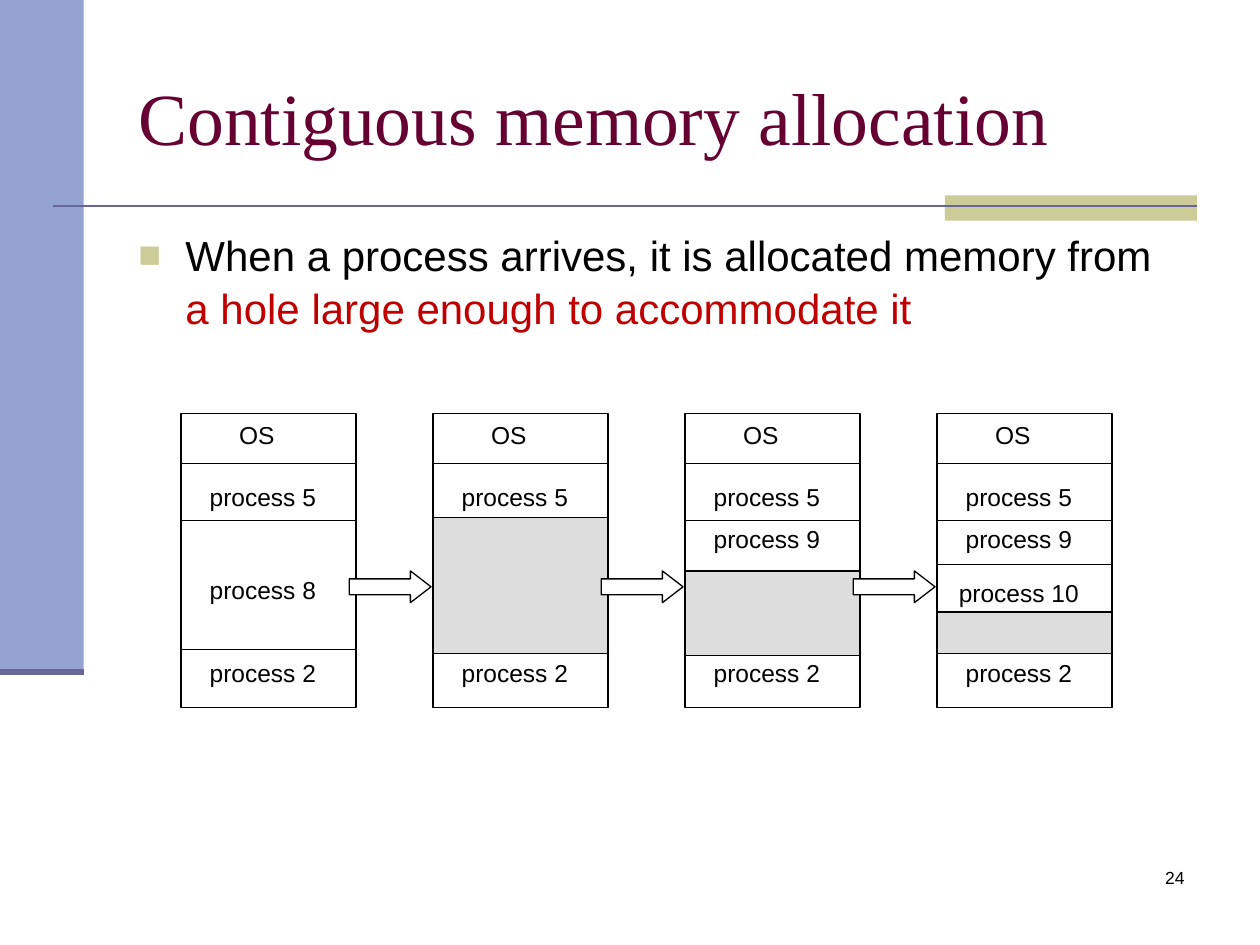
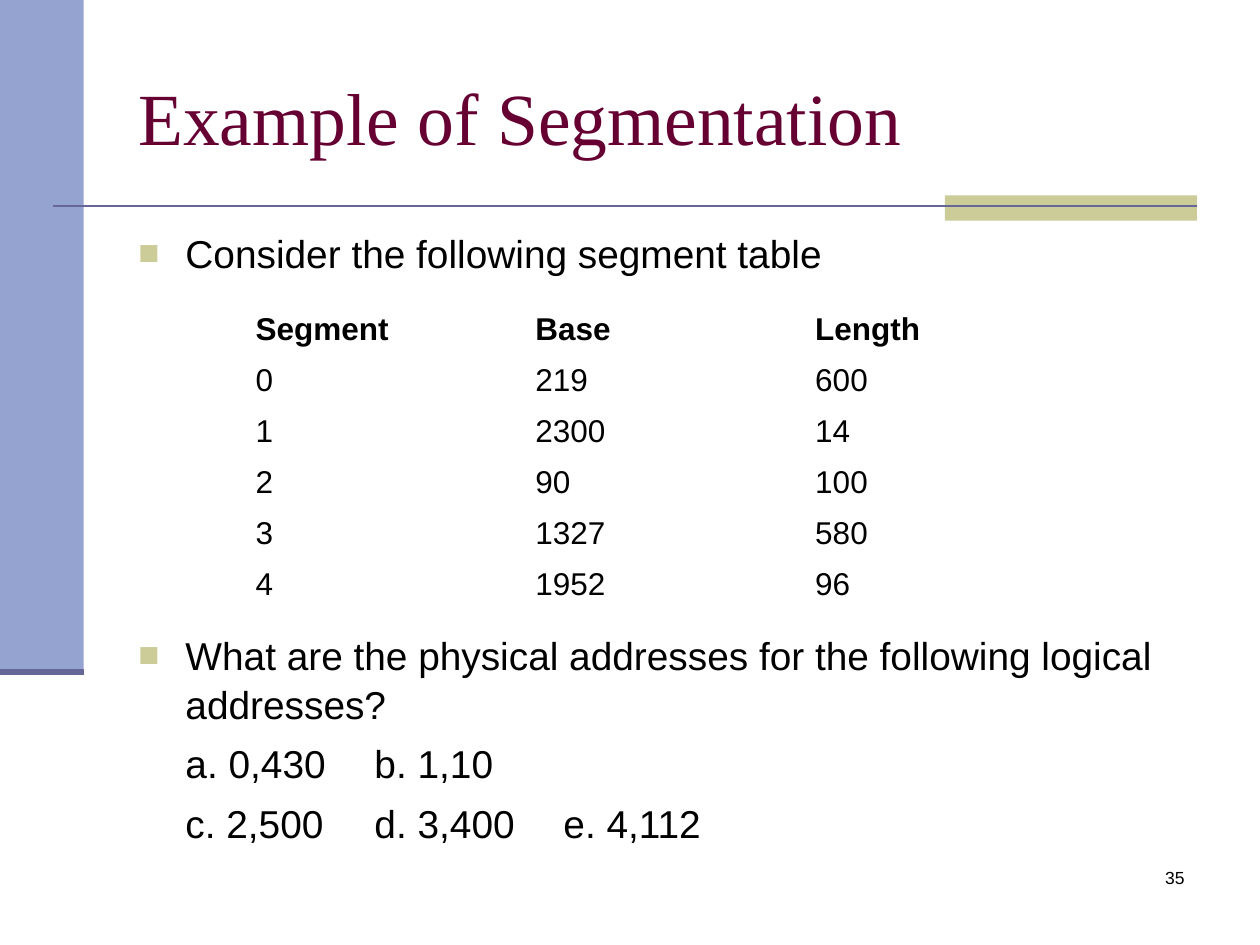
from lxml.etree import SubElement
from pptx import Presentation
from pptx.dml.color import RGBColor
from pptx.enum.shapes import MSO_CONNECTOR, MSO_SHAPE
from pptx.enum.text import MSO_ANCHOR, PP_ALIGN
from pptx.oxml.ns import qn
from pptx.util import Cm, Pt

# Shared look
BLACK, WHITE = "000000", "FFFFFF"
BAND, RULE, ACCENT = "95A3D1", "666699", "CCCC99"
TITLE, EMPHASIS, HOLE = "660033", "C00000", "DDDDDD"
SANS, SERIF = "Arial", "Times New Roman"
INDENT = 0.95

# Memory diagram, in cm
COLUMN_LEFT, COLUMN_STEP, COLUMN_WIDTH = 3.65, 5.08, 3.53
COLUMN_TOP, COLUMN_HEIGHT = 8.33, 5.93
DIVIDERS = [9.34, 10.49, 13.09]
SHARED_LABELS = [("process 5", 9.58), ("process 2", 13.13)]
# One stage per column: own labels, extra dividers, hole (top, height)
STAGES = [
    ([("process 8", 11.46)], [], None),
    ([], [], (10.44, 2.74)),
    ([("process 9", 10.44)], [], (11.51, 1.7)),
    ([("process 9", 10.44), ("process 10", 11.51)], [11.38], (12.34, 0.84)),
]

SEGMENTS = [
    ("Segment", "Base", "Length"),
    ("0", "219", "600"),
    ("1", "2300", "14"),
    ("2", "90", "100"),
    ("3", "1327", "580"),
    ("4", "1952", "96"),
]


def rgb(color):
    return RGBColor.from_string(color)


def lengths(*values):
    return [Cm(value) for value in values]


def write(paragraph, text, size=14, color=BLACK, font=SANS, bold=False, align=None):
    run = paragraph.add_run()
    run.text = text
    run.font.size = Pt(size)
    run.font.name = font
    run.font.bold = bold
    run.font.color.rgb = rgb(color)
    if align is not None:
        paragraph.alignment = align


def add_frame(slide, box, anchor=MSO_ANCHOR.TOP, wrap=True):
    frame = slide.shapes.add_textbox(*lengths(*box)).text_frame
    frame.word_wrap = wrap
    frame.vertical_anchor = anchor
    return frame


def add_block(slide, box, fill, line=None, kind=MSO_SHAPE.RECTANGLE):
    shape = slide.shapes.add_shape(kind, *lengths(*box))
    shape.shadow.inherit = False
    shape.fill.solid()
    shape.fill.fore_color.rgb = rgb(fill)
    if line:
        shape.line.color.rgb = rgb(line)
        shape.line.width = Pt(0.75)
    else:
        shape.line.fill.background()
    return shape


def add_line(slide, left, right, y, color=BLACK, width=0.75):
    line = slide.shapes.add_connector(MSO_CONNECTOR.STRAIGHT, *lengths(left, y, right, y))
    line.line.color.rgb = rgb(color)
    line.line.width = Pt(width)
    SubElement(line._element.spPr, qn("a:effectLst"))


def set_bullet(paragraph):
    properties = paragraph._p.get_or_add_pPr()
    properties.set("marL", str(Cm(INDENT)))
    properties.set("indent", str(-Cm(INDENT)))
    color = SubElement(properties, qn("a:buClr"))
    SubElement(color, qn("a:srgbClr"), val=ACCENT)
    SubElement(properties, qn("a:buSzPct"), val="90000")
    SubElement(properties, qn("a:buFont"), typeface=SANS)
    SubElement(properties, qn("a:buChar"), char="■")


def set_tabs(paragraph, *stops):
    properties = paragraph._p.get_or_add_pPr()
    properties.set("marL", str(Cm(INDENT)))
    properties.set("indent", "0")
    tabs = SubElement(properties, qn("a:tabLst"))
    for stop in stops:
        SubElement(tabs, qn("a:tab"), pos=str(Cm(stop)), algn="l")


def add_body(slide):
    return add_frame(slide, (2.54, 4.45, 21.59, 12.57))


def next_paragraph(frame, space_before):
    paragraph = frame.add_paragraph()
    paragraph.space_before = Pt(space_before)
    paragraph.line_spacing = 1.05
    return paragraph


def add_base_slide(presentation, title, number):
    slide = presentation.slides.add_slide(presentation.slide_layouts[6])
    # Side band and title rule
    add_block(slide, (0, 0, 1.69, 13.55), BAND)
    add_block(slide, (19.05, 3.94, 5.08, 0.51), ACCENT)
    add_line(slide, 1.06, 24.13, 4.15, RULE, 1.5)
    add_line(slide, 0, 1.69, 13.55, RULE, 3.5)
    # Title and page number
    frame = add_frame(slide, (2.54, 0.76, 21.59, 3.18), MSO_ANCHOR.MIDDLE)
    write(frame.paragraphs[0], title, size=42, color=TITLE, font=SERIF)
    frame = add_frame(slide, (18.85, 17.35, 5.28, 1.27))
    write(frame.paragraphs[0], str(number), size=10, align=PP_ALIGN.RIGHT)
    return slide


def add_label(slide, text, left, top, width=3.3, wrap=True):
    frame = add_frame(slide, (left, top, width, 0.86), MSO_ANCHOR.MIDDLE, wrap)
    write(frame.paragraphs[0], text, align=PP_ALIGN.CENTER)


def add_memory_column(slide, left, labels, extra_dividers, hole):
    add_block(slide, (left, COLUMN_TOP, COLUMN_WIDTH, COLUMN_HEIGHT), WHITE, BLACK)
    for y in DIVIDERS + extra_dividers:
        add_line(slide, left, left + COLUMN_WIDTH, y)
    if hole:
        top, height = hole
        add_block(slide, (left, top, COLUMN_WIDTH, height), HOLE, BLACK)
    add_label(slide, "OS", left + 0.92, COLUMN_TOP, width=1.22, wrap=False)
    for text, top in SHARED_LABELS + labels:
        add_label(slide, text, left, top)


def add_step_arrow(slide, column_left):
    arrow = add_block(slide, (column_left + 3.39, 11.51, 1.65, 0.64),
                      WHITE, BLACK, MSO_SHAPE.RIGHT_ARROW)
    arrow.adjustments[1] = 0.65


def set_borders(cell, color, width):
    properties = cell._tc.get_or_add_tcPr()
    for side in ("lnL", "lnR", "lnT", "lnB"):
        border = SubElement(properties, qn(f"a:{side}"), w=str(Pt(width)))
        fill = SubElement(border, qn("a:solidFill"))
        SubElement(fill, qn("a:srgbClr"), val=color)


def add_segment_table(slide):
    rows, columns = len(SEGMENTS), len(SEGMENTS[0])
    table = slide.shapes.add_table(
        rows, columns, *lengths(4.9, 6.12, 5.64 * columns, 1.03 * rows)).table
    for column in table.columns:
        column.width = Cm(5.64)
    for r, values in enumerate(SEGMENTS):
        table.rows[r].height = Cm(1.03)
        for c, value in enumerate(values):
            cell = table.cell(r, c)
            set_borders(cell, WHITE, 0.45)
            cell.fill.solid()
            cell.fill.fore_color.rgb = rgb(WHITE)
            cell.vertical_anchor = MSO_ANCHOR.MIDDLE
            write(cell.text_frame.paragraphs[0], value, size=18, bold=r == 0)


def build_allocation(presentation):
    slide = add_base_slide(presentation, "Contiguous memory allocation", 24)
    paragraph = add_body(slide).paragraphs[0]
    paragraph.line_spacing = 1.05
    set_bullet(paragraph)
    write(paragraph, "When a process arrives, it is allocated memory from ", size=24)
    write(paragraph, "a hole large enough to accommodate it", size=24, color=EMPHASIS)
    # Memory states, then the arrows between them
    lefts = [COLUMN_LEFT + i * COLUMN_STEP for i in range(len(STAGES))]
    for left, stage in zip(lefts, STAGES):
        add_memory_column(slide, left, *stage)
    for left in lefts[:-1]:
        add_step_arrow(slide, left)


def build_segmentation(presentation):
    slide = add_base_slide(presentation, "Example of Segmentation", 35)
    frame = add_body(slide)
    intro = frame.paragraphs[0]
    intro.line_spacing = 1.05
    set_bullet(intro)
    write(intro, "Consider the following segment table", size=22.2)
    # The question sits below the table
    question = next_paragraph(frame, 201.8)
    set_bullet(question)
    write(question, "What are the physical addresses for the following logical addresses?",
          size=22.2)
    for text in ("a. 0,430\tb. 1,10", "c. 2,500\td. 3,400\te. 4,112"):
        paragraph = next_paragraph(frame, 6)
        set_tabs(paragraph, 5.08, 10.16)
        write(paragraph, text, size=22.2)
    add_segment_table(slide)


def main():
    presentation = Presentation()
    presentation.slide_width, presentation.slide_height = lengths(25.4, 19.05)
    build_allocation(presentation)
    build_segmentation(presentation)
    presentation.save("out.pptx")


if __name__ == "__main__":
    main()
